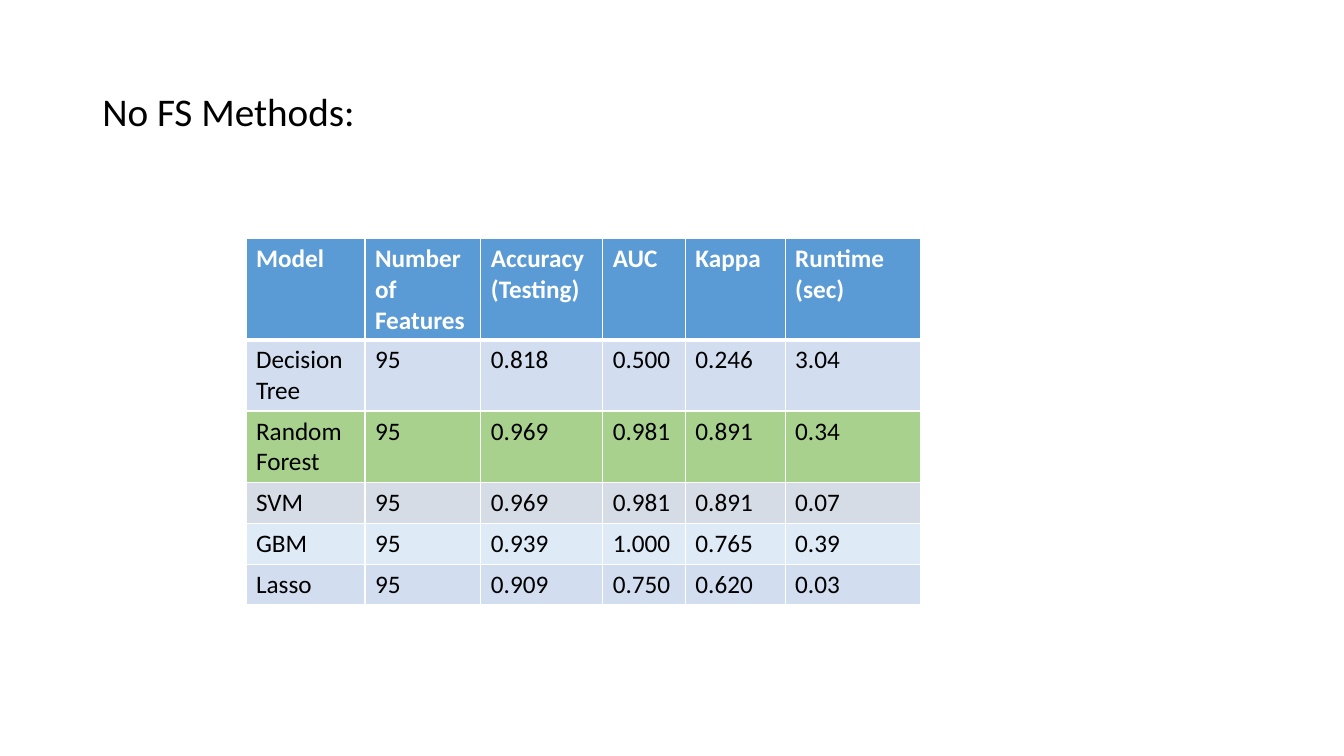
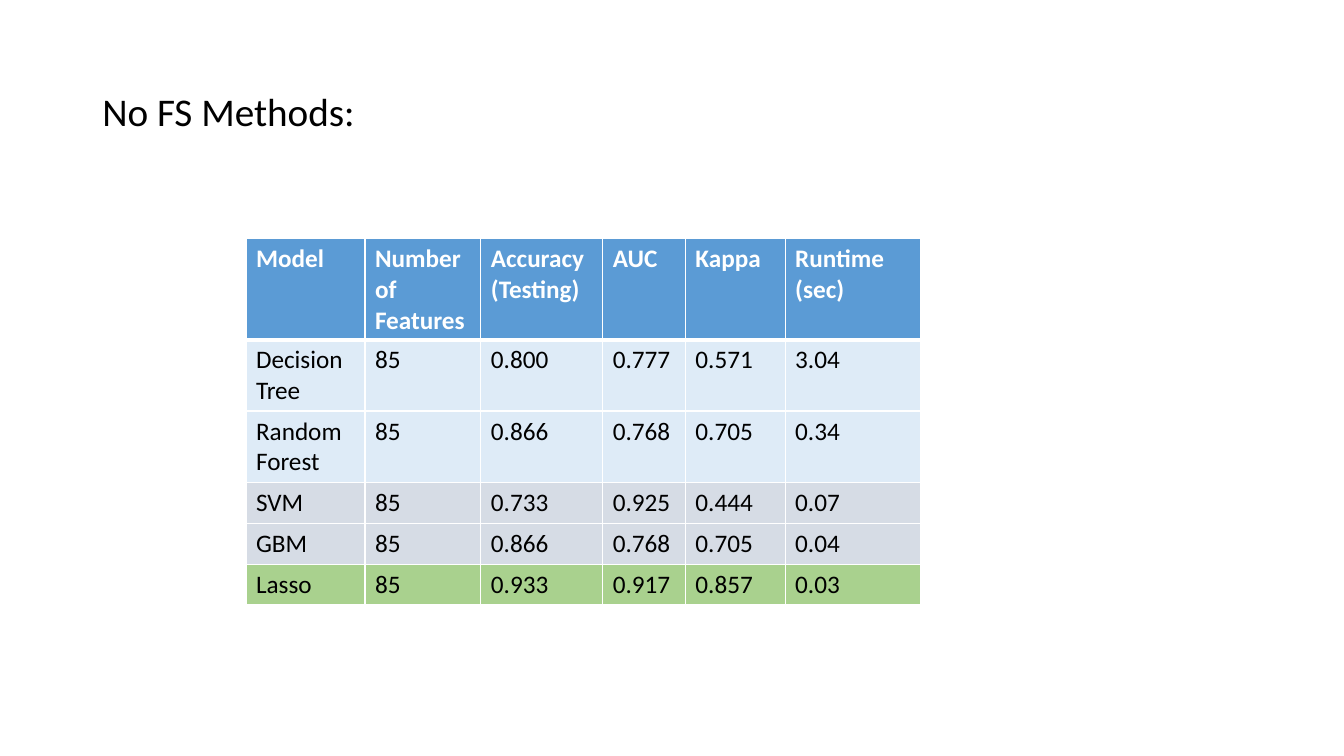
from dataclasses import dataclass

import pptx
import pptx.dml.color
import pptx.enum.text
import pptx.oxml
import pptx.oxml.ns
import pptx.util

Pt = pptx.util.Pt

HEADERS = ["Model", "Number of Features", "Accuracy (Testing)", "AUC", "Kappa", "Runtime (sec)"]

# Each row: fill name in the theme, then the cell texts.
SLIDES = [
    {
        "title": "No FS Methods:",
        "rows": [
            ("band", ["Decision Tree", "95", "0.818", "0.500", "0.246", "3.04"]),
            ("best", ["Random Forest", "95", "0.969", "0.981", "0.891", "0.34"]),
            ("gray", ["SVM", "95", "0.969", "0.981", "0.891", "0.07"]),
            ("pale", ["GBM", "95", "0.939", "1.000", "0.765", "0.39"]),
            ("band", ["Lasso", "95", "0.909", "0.750", "0.620", "0.03"]),
        ],
    },
    {
        "title": "No FS Methods:",
        "rows": [
            ("pale", ["Decision Tree", "85", "0.800", "0.777", "0.571", "3.04"]),
            ("pale", ["Random Forest", "85", "0.866", "0.768", "0.705", "0.34"]),
            ("gray", ["SVM", "85", "0.733", "0.925", "0.444", "0.07"]),
            ("gray", ["GBM", "85", "0.866", "0.768", "0.705", "0.04"]),
            ("best", ["Lasso", "85", "0.933", "0.917", "0.857", "0.03"]),
        ],
    },
]


@dataclass(frozen=True)
class Theme:
    font: str = "Calibri"
    title_size: int = 28
    table_size: int = 18
    text: str = "000000"
    white: str = "FFFFFF"
    header: str = "5B9BD5"
    band: str = "D2DEEF"
    pale: str = "DEEBF7"
    gray: str = "D6DCE5"
    best: str = "A9D18E"
    thin: int = 1
    thick: int = 3


THEME = Theme()

SLIDE_SIZE = (960, 540)
TITLE_BOX = (66, 28.8, 828, 104.4)
TABLE_LEFT, TABLE_TOP = 175.7, 170.6
COLUMN_WIDTHS = [85, 82.8, 87.1, 59, 71.3, 96.5]
ROW_HEIGHTS = [72, 51, 51, 29.2, 29.2, 29.2]


def rgb(color):
    return pptx.dml.color.RGBColor.from_string(color)


def style_text(paragraph, size, color, bold=False):
    for run in paragraph.runs:
        run.font.name = THEME.font
        run.font.size = Pt(size)
        run.font.bold = bold
        run.font.color.rgb = rgb(color)


def set_borders(cell, top, bottom):
    """Draw white borders; top and bottom are widths in points."""
    widths = {"lnL": THEME.thin, "lnR": THEME.thin, "lnT": top, "lnB": bottom}
    properties = cell._tc.get_or_add_tcPr()
    for position, (tag, width) in enumerate(widths.items()):
        line = pptx.oxml.parse_xml(
            f'<a:{tag} {pptx.oxml.ns.nsdecls("a")} w="{Pt(width)}">'
            f'<a:solidFill><a:srgbClr val="{THEME.white}"/></a:solidFill></a:{tag}>'
        )
        properties.insert(position, line)


def add_title(slide, title):
    box = slide.shapes.add_textbox(*map(Pt, TITLE_BOX))
    frame = box.text_frame
    frame.word_wrap = True
    frame.vertical_anchor = pptx.enum.text.MSO_ANCHOR.MIDDLE
    frame.text = title
    paragraph = frame.paragraphs[0]
    paragraph.line_spacing = 0.9
    style_text(paragraph, THEME.title_size, THEME.text)


def add_results_table(slide, body_rows):
    rows = [("header", HEADERS)] + body_rows
    table = slide.shapes.add_table(
        len(rows), len(HEADERS), Pt(TABLE_LEFT), Pt(TABLE_TOP),
        Pt(sum(COLUMN_WIDTHS)), Pt(sum(ROW_HEIGHTS)),
    ).table
    table.horz_banding = False
    for column, width in zip(table.columns, COLUMN_WIDTHS):
        column.width = Pt(width)
    for index, (fill_name, texts) in enumerate(rows):
        is_header = index == 0
        table.rows[index].height = Pt(ROW_HEIGHTS[index])
        for cell, text in zip(table.rows[index].cells, texts):
            cell.text = text
            style_text(
                cell.text_frame.paragraphs[0], THEME.table_size,
                THEME.white if is_header else THEME.text, is_header,
            )
            cell.fill.solid()
            cell.fill.fore_color.rgb = rgb(getattr(THEME, fill_name))
            set_borders(
                cell,
                top=THEME.thick if index == 1 else THEME.thin,
                bottom=THEME.thick if is_header else THEME.thin,
            )


def main():
    presentation = pptx.Presentation()
    presentation.slide_width, presentation.slide_height = map(Pt, SLIDE_SIZE)
    blank_layout = presentation.slide_layouts[6]
    for content in SLIDES:
        slide = presentation.slides.add_slide(blank_layout)
        add_title(slide, content["title"])
        add_results_table(slide, content["rows"])
    presentation.save("out.pptx")


if __name__ == "__main__":
    main()
